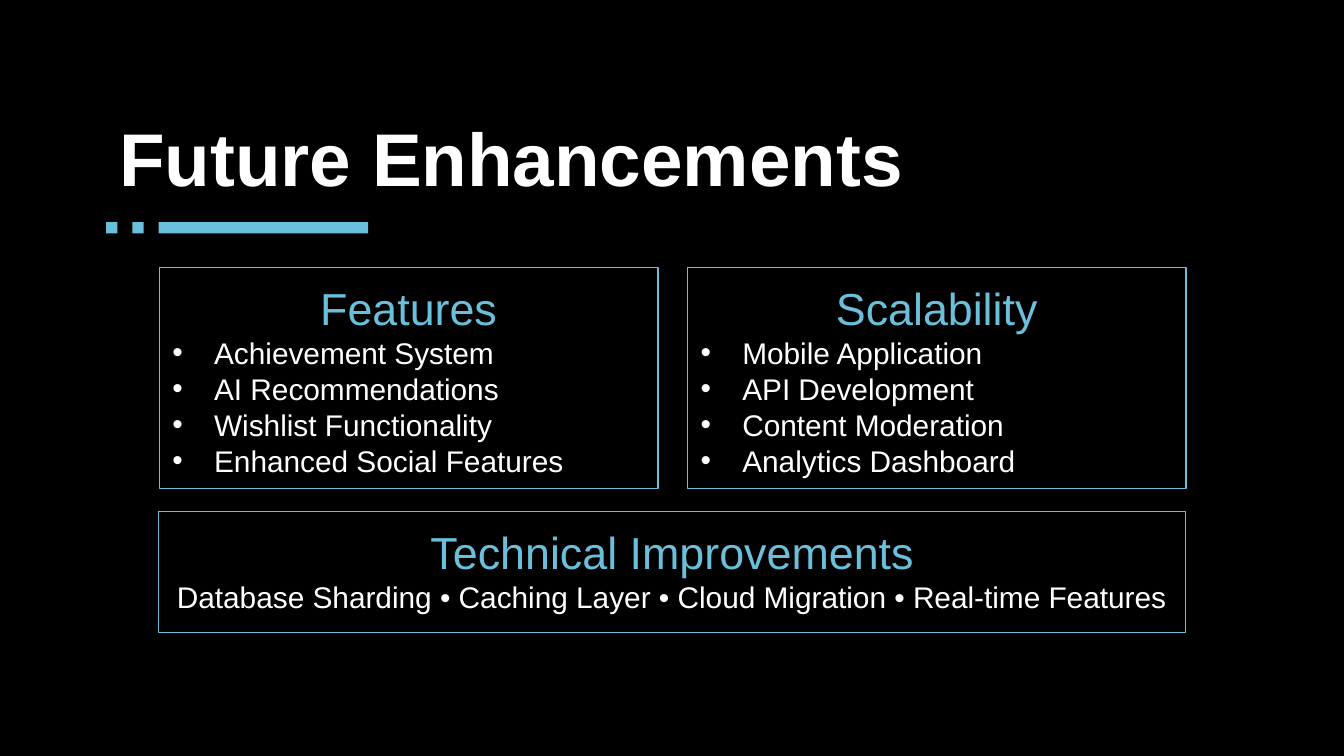
import pptx
import pptx.util
import pptx.dml.color
import pptx.enum.shapes
import pptx.enum.text
import pptx.oxml
import pptx.oxml.ns

BLACK = pptx.dml.color.RGBColor(0x00, 0x00, 0x00)
WHITE = pptx.dml.color.RGBColor(0xFF, 0xFF, 0xFF)
BLUE = pptx.dml.color.RGBColor(0x6A, 0xBF, 0xDA)
LEFT = pptx.enum.text.PP_ALIGN.LEFT
CENTER = pptx.enum.text.PP_ALIGN.CENTER
RECT = pptx.enum.shapes.MSO_SHAPE.RECTANGLE
INDENT = pptx.util.Inches(0.31)
INSET = pptx.util.Inches(0.1)


def write(frame, text, size=16, color=WHITE, bold=False, align=LEFT,
          bullet=False):
    para = frame.paragraphs[0]
    if para.runs:
        para = frame.add_paragraph()
    para.alignment = align
    para.line_spacing = 1.0
    run = para.add_run()
    run.text = text
    font = run.font
    font.name = "Arial"
    font.size = pptx.util.Pt(size)
    font.bold = bold
    font.color.rgb = color
    if bullet:
        props = para._p.get_or_add_pPr()
        props.set("marL", str(INDENT))
        props.set("indent", str(-INDENT))
        names = pptx.oxml.ns.nsdecls("a")
        for mark in (
            f'<a:buClr {names}><a:srgbClr val="{color}"/></a:buClr>',
            f'<a:buFont {names} typeface="Arial"/>',
            f'<a:buChar {names} char="•"/>',
        ):
            props.append(pptx.oxml.parse_xml(mark))


class Deck:
    def __init__(self, wide, high):
        self.file = pptx.Presentation()
        self.file.slide_width = pptx.util.Inches(wide)
        self.file.slide_height = pptx.util.Inches(high)
        self.slide = self.file.slides.add_slide(self.file.slide_layouts[6])
        fill = self.slide.background.fill
        fill.solid()
        fill.fore_color.rgb = BLACK

    def place(self, x, y, w, h):
        wide, high = self.file.slide_width, self.file.slide_height
        return [round(part * full / 100) for part, full in
                ((x, wide), (y, high), (w, wide), (h, high))]

    def frame(self, shape):
        frame = shape.text_frame
        frame.word_wrap = True
        frame.vertical_anchor = pptx.enum.text.MSO_ANCHOR.TOP
        frame.margin_left = frame.margin_right = INSET
        frame.margin_top = frame.margin_bottom = INSET
        return frame

    def title(self, text, *area):
        shape = self.slide.shapes.add_textbox(*self.place(*area))
        write(self.frame(shape), text, size=40, bold=True)

    def rect(self, *area):
        shape = self.slide.shapes.add_shape(RECT, *self.place(*area))
        shape.shadow.inherit = False
        return shape

    def bar(self, *area):
        shape = self.rect(*area)
        shape.fill.solid()
        shape.fill.fore_color.rgb = BLUE
        shape.line.fill.background()

    def card(self, head, lines, *area, align=LEFT, bullet=True):
        shape = self.rect(*area)
        shape.fill.background()
        shape.line.color.rgb = BLUE
        shape.line.width = pptx.util.Pt(0.75)
        frame = self.frame(shape)
        write(frame, head, size=24, color=BLUE, align=CENTER)
        for line in lines:
            write(frame, line, align=align, bullet=bullet)


def main():
    deck = Deck(10, 5.625)
    deck.title("Future Enhancements", 7.9, 13, 84.3, 11.2)
    for x, w in ((7.9, 0.84), (9.85, 0.84), (11.8, 15.6)):
        deck.bar(x, 29.4, w, 1.5)

    cards = (
        ("Features", ("Achievement System", "AI Recommendations",
                      "Wishlist Functionality", "Enhanced Social Features")),
        ("Scalability", ("Mobile Application", "API Development",
                         "Content Moderation", "Analytics Dashboard")),
    )
    for col, (head, lines) in enumerate(cards):
        deck.card(head, lines, 11.85 + col * 39.3, 35.4, 37.1, 29.2)

    topics = ("Database Sharding", "Caching Layer",
              "Cloud Migration", "Real-time Features")
    deck.card("Technical Improvements", (" • ".join(topics),),
              11.8, 67.65, 76.4, 16, align=CENTER, bullet=False)
    deck.file.save("out.pptx")


if __name__ == "__main__":
    main()
